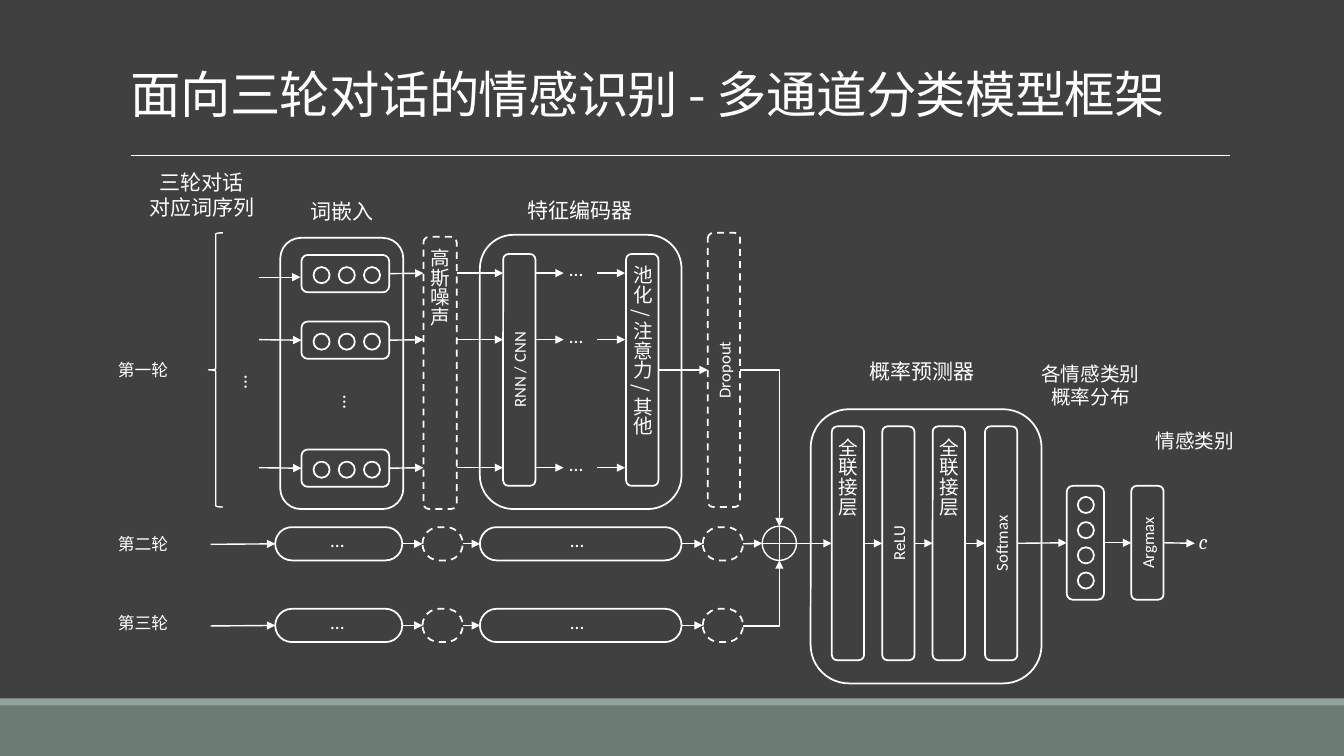
import pptx
import pptx.util
import pptx.dml.color
import pptx.enum.dml
import pptx.enum.shapes
import pptx.enum.text
import pptx.oxml.ns
import lxml.etree

Inches = pptx.util.Inches
Pt = pptx.util.Pt
RGBColor = pptx.dml.color.RGBColor
SHAPE = pptx.enum.shapes.MSO_SHAPE
CONNECTOR = pptx.enum.shapes.MSO_CONNECTOR
ALIGN = pptx.enum.text.PP_ALIGN
ANCHOR = pptx.enum.text.MSO_ANCHOR
qn = pptx.oxml.ns.qn

WHITE = RGBColor(0xFF, 0xFF, 0xFF)
DARK = RGBColor(0x40, 0x40, 0x40)
GREEN = RGBColor(0x6B, 0x7D, 0x72)
PALE = RGBColor(0x93, 0xA2, 0x99)
CJK, LATIN, MATH = "Noto Sans CJK SC", "Calibri", "Cambria"

TITLE = "面向三轮对话的情感识别 - 多通道分类模型框架"
BANDS = [(7, 0.5, GREEN), (6.93, 0.07, PALE)]
HEADINGS = [
    (["三轮对话", "对应词序列"], (1.33, 1.63, 1.34, 0.65), 15, False),
    (["词嵌入"], (2.95, 1.92, 0.89, 0.38), 15, False),
    (["特征编码器"], (4.81, 1.91, 1.89, 0.38), 15, True),
    (["概率预测器"], (8.2, 3.51, 1.89, 0.38), 15, True),
    (["各情感类别", "概率分布"], (9.87, 3.54, 1.89, 0.61), 14, True),
    (["情感类别"], (11.26, 4.21, 1.18, 0.36), 14, True),
]
ROUNDS = [("第一轮", 3.52), ("第二轮", 5.25), ("第三轮", 6.03)]
PANELS = [(2.78, 2.36, 1.22, 2.69), (4.76, 2.33, 2, 2.72), (8.04, 4.06, 2.29, 2.72)]
BARS = {
    "noise": ("高斯噪声", (4.2, 2.35, 0.33, 2.7), "eaVert", True),
    "encoder": ("RNN / CNN", (4.99, 2.52, 0.32, 2.3), "vert270", False),
    "pooling": ("池化 / 注意力 / 其他", (6.21, 2.52, 0.32, 2.3), "eaVert", False),
    "dropout": ("Dropout", (7.02, 2.31, 0.32, 2.72), "vert270", True),
    "dense1": ("全联接层", (8.25, 4.23, 0.32, 2.32), "eaVert", False),
    "relu": ("ReLU", (8.75, 4.23, 0.32, 2.32), "vert270", False),
    "dense2": ("全联接层", (9.25, 4.23, 0.32, 2.32), "eaVert", False),
    "softmax": ("Softmax", (9.77, 4.23, 0.32, 2.32), "vert270", False),
    "argmax": ("Argmax", (11.22, 4.82, 0.32, 1.13), "vert270", False),
}
WORD_ROWS = [(2.71, 2.75), (3.37, 3.37), (4.64, 4.64)]
PILLS = [(2.73, 1.26, False), (4.19, 0.4, True), (4.76, 2, False), (6.97, 0.4, True)]
PILL_ROWS = [5.4, 6.21]
ELLIPSES = [(2.31, 3.63, 90), (3.29, 3.83, 90)]
SUM_X, SUM_Y, SUM_R = 7.73, 5.39, 0.17
DOT, DOT_STEP = 0.16, 0.25

prs = pptx.Presentation()
prs.slide_width, prs.slide_height = Inches(13.33), Inches(7.5)
s = prs.slides.add_slide(prs.slide_layouts[6])
s.background.fill.solid()
s.background.fill.fore_color.rgb = DARK


def write(tf, lines, size=14, font=CJK, align=None, italic=False, spacing=None, kern=None):
    for i, line in enumerate(lines):
        p = tf.paragraphs[0] if i == 0 else tf.add_paragraph()
        p.alignment, p.line_spacing = align, spacing
        r = p.add_run()
        r.text = line
        r.font.size, r.font.name, r.font.italic = Pt(size), font, italic
        r.font.color.rgb = WHITE
        rPr = r.font._element
        if kern:
            rPr.set("spc", str(kern))
        lxml.etree.SubElement(rPr, qn("a:ea")).set("typeface", font)


def label(lines, box, wrap=False, rotation=0, **fmt):
    tb = s.shapes.add_textbox(*map(Inches, box))
    tb.rotation = rotation
    tb.text_frame.word_wrap = wrap
    tb.text_frame.auto_size = pptx.enum.text.MSO_AUTO_SIZE.SHAPE_TO_FIT_TEXT
    write(tb.text_frame, lines, **fmt)


def outline(kind, box, width=1.25, dashed=False):
    sp = s.shapes.add_shape(kind, *map(Inches, box))
    sp.shadow.inherit = False
    sp.fill.background()
    sp.line.color.rgb, sp.line.width = WHITE, Pt(width)
    if dashed:
        sp.line.dash_style = pptx.enum.dml.MSO_LINE.DASH
    return sp


def bar(text, box, vert, dashed):
    sp = outline(SHAPE.ROUNDED_RECTANGLE, box, dashed=dashed)
    tf = sp.text_frame
    tf.vertical_anchor = ANCHOR.MIDDLE
    tf._txBody.bodyPr.set("vert", vert)
    size, font = (14, CJK) if vert == "eaVert" else (12, LATIN)
    write(tf, [text], size=size, font=font, align=ALIGN.CENTER)
    return sp


def line(start, end, width=1, head=True, kind=CONNECTOR.STRAIGHT):
    ends = [(0, 0) if not isinstance(e, tuple) else e for e in (start, end)]
    c = s.shapes.add_connector(kind, *[Inches(v) for e in ends for v in e])
    if not isinstance(start, tuple):
        c.begin_connect(start, 3)
    if not isinstance(end, tuple):
        c.end_connect(end, 1)
    c.line.color.rgb, c.line.width = WHITE, Pt(width)
    if head:
        lxml.etree.SubElement(c.line._get_or_add_ln(), qn("a:tailEnd")).set("type", "triangle")
    spPr = c._element.spPr
    lxml.etree.SubElement(spPr, qn("a:effectLst"))
    if kind == CONNECTOR.ELBOW:
        spPr.find(qn("a:prstGeom")).set("prst", "bentConnector2")


for top, height, color in BANDS:
    band = s.shapes.add_shape(SHAPE.RECTANGLE, 0, Inches(top), prs.slide_width, Inches(height))
    band.shadow.inherit = False
    band.fill.solid()
    band.fill.fore_color.rgb = color
    band.line.fill.background()
line((1.3, 1.54), (12.2, 1.54), width=0.5, head=False)

title = s.shapes.add_textbox(Inches(1.2), Inches(-0.31), Inches(11), Inches(1.59))
title.text_frame.word_wrap = True
title.text_frame.vertical_anchor = ANCHOR.BOTTOM
write(title.text_frame, [TITLE], size=36, spacing=0.85, kern=-50)

for lines, box, size, wrap in HEADINGS:
    label(lines, box, wrap=wrap, size=size, align=ALIGN.CENTER)
for text, top in ROUNDS:
    label([text], (1.07, top, 0.76, 0.32), size=12)
for left, top, rotation in ELLIPSES:
    label(["…"], (left, top, 0.36, 0.36), rotation=rotation, font=LATIN)
label(["c"], (11.79, 5.19, 0.32, 0.38), size=15, font=MATH, italic=True)

for box in PANELS:
    outline(SHAPE.ROUNDED_RECTANGLE, box)
outline(SHAPE.LEFT_BRACE, (2.07, 2.31, 0.14, 2.72), width=1)
bars = {name: bar(*data) for name, data in BARS.items()}

for y, input_y in WORD_ROWS:
    cell = outline(SHAPE.ROUNDED_RECTANGLE, (2.99, y - 0.18, 0.87, 0.37))
    for i in range(3):
        outline(SHAPE.OVAL, (3.11 + i * DOT_STEP, y - 0.06, DOT, DOT))
    line((2.57, input_y), cell if input_y == y else (2.98, input_y))
    line(cell, (4.2, y))
    for x1, x2 in [(4.53, 4.99), (5.31, 5.59), (5.92, 6.2)]:
        line((x1, y), (x2, y))
    label(["…"], (5.55, y - 0.21, 0.36, 0.36), font=LATIN)

last_pills = []
for y in PILL_ROWS:
    previous = (2.09, y)
    for left, width, dashed in PILLS:
        pill = outline(SHAPE.ROUNDED_RECTANGLE, (left, y - 0.17, width, 0.33), dashed=dashed)
        pill.adjustments[0] = 0.5
        line(previous, pill)
        previous = pill
    last_pills.append(pill)
    for left in (3.18, 5.56):
        label(["…"], (left, y - 0.21, 0.36, 0.36), font=LATIN)

sum_left, sum_right = (SUM_X - SUM_R, SUM_Y), (SUM_X + SUM_R, SUM_Y)
sum_top, sum_bottom = (SUM_X, SUM_Y - SUM_R), (SUM_X, SUM_Y + SUM_R)
outline(SHAPE.OVAL, (sum_left[0], sum_top[1], 2 * SUM_R, 2 * SUM_R), width=1)
line(sum_left, sum_right, head=False)
line(sum_top, sum_bottom, head=False)
line((7.34, 3.67), sum_top, kind=CONNECTOR.ELBOW)
line((7.37, PILL_ROWS[1]), sum_bottom, kind=CONNECTOR.ELBOW)
line(last_pills[0], sum_left)

probabilities = outline(SHAPE.ROUNDED_RECTANGLE, (10.58, 4.82, 0.37, 1.13))
for i in range(4):
    outline(SHAPE.OVAL, (10.69, 4.93 + i * DOT_STEP, DOT, DOT))

line(bars["pooling"], bars["dropout"])
chain = [sum_right, *[bars[n] for n in ("dense1", "relu", "dense2", "softmax")],
         probabilities, bars["argmax"], (11.85, SUM_Y)]
for start, end in zip(chain, chain[1:]):
    line(start, end)

prs.save("out.pptx")
